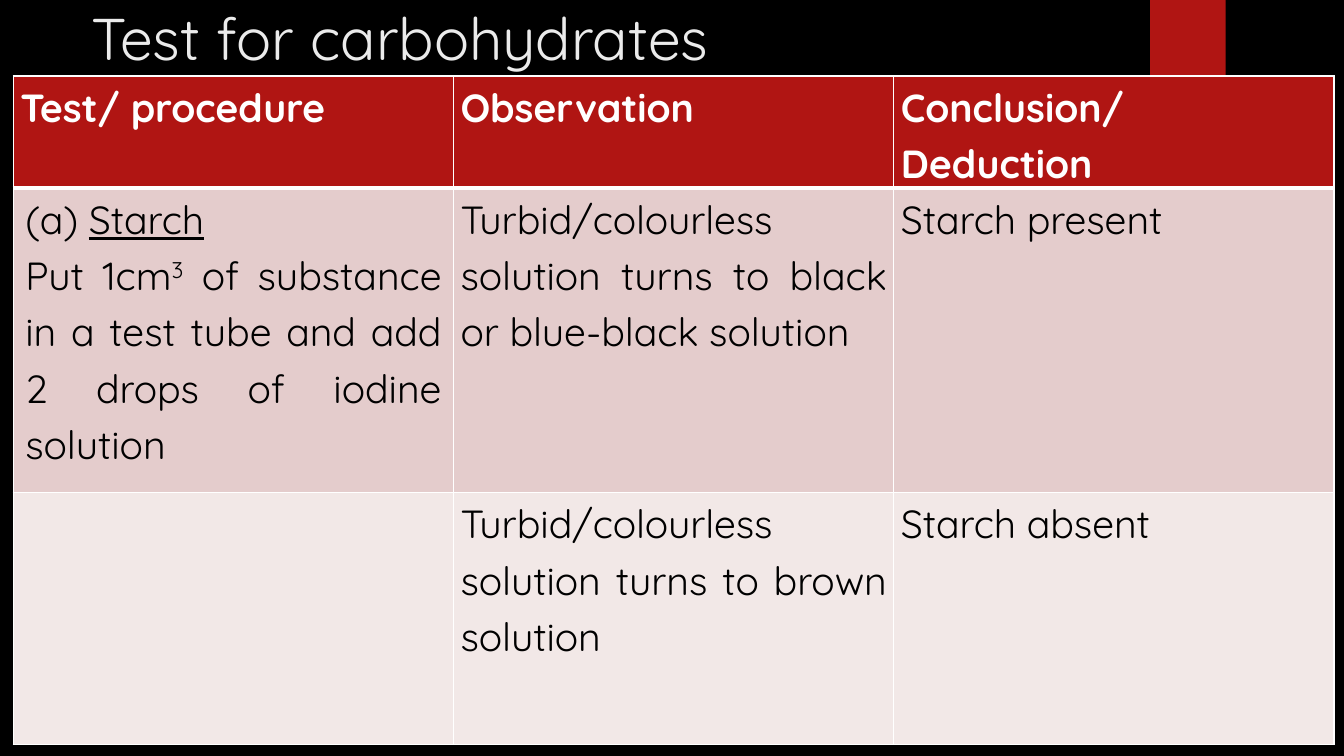
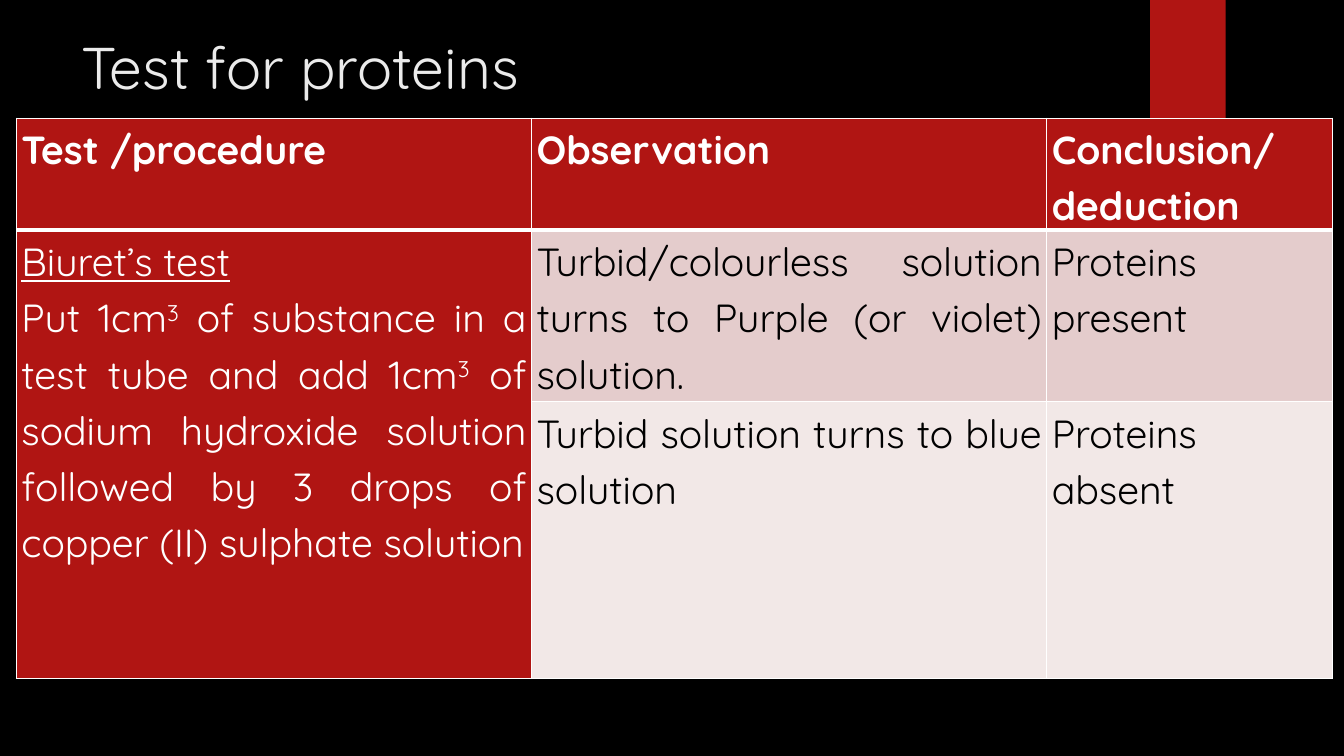
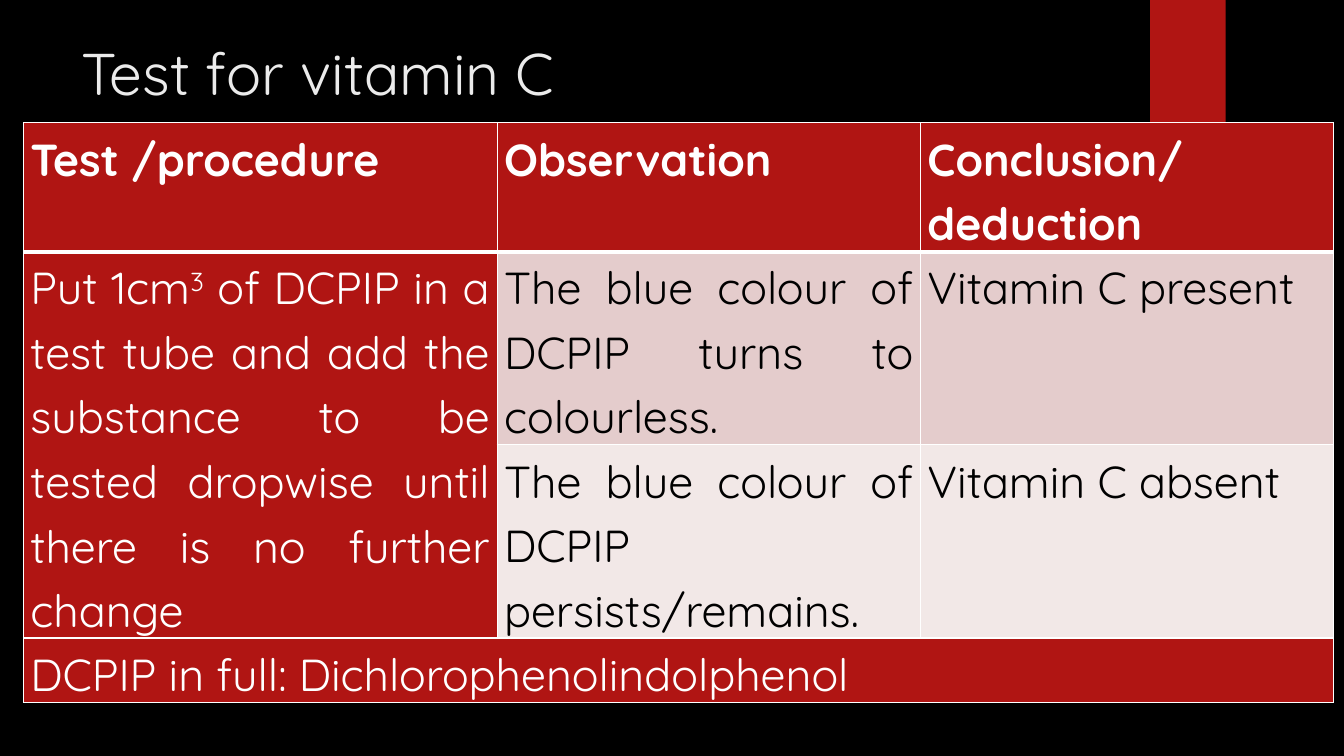
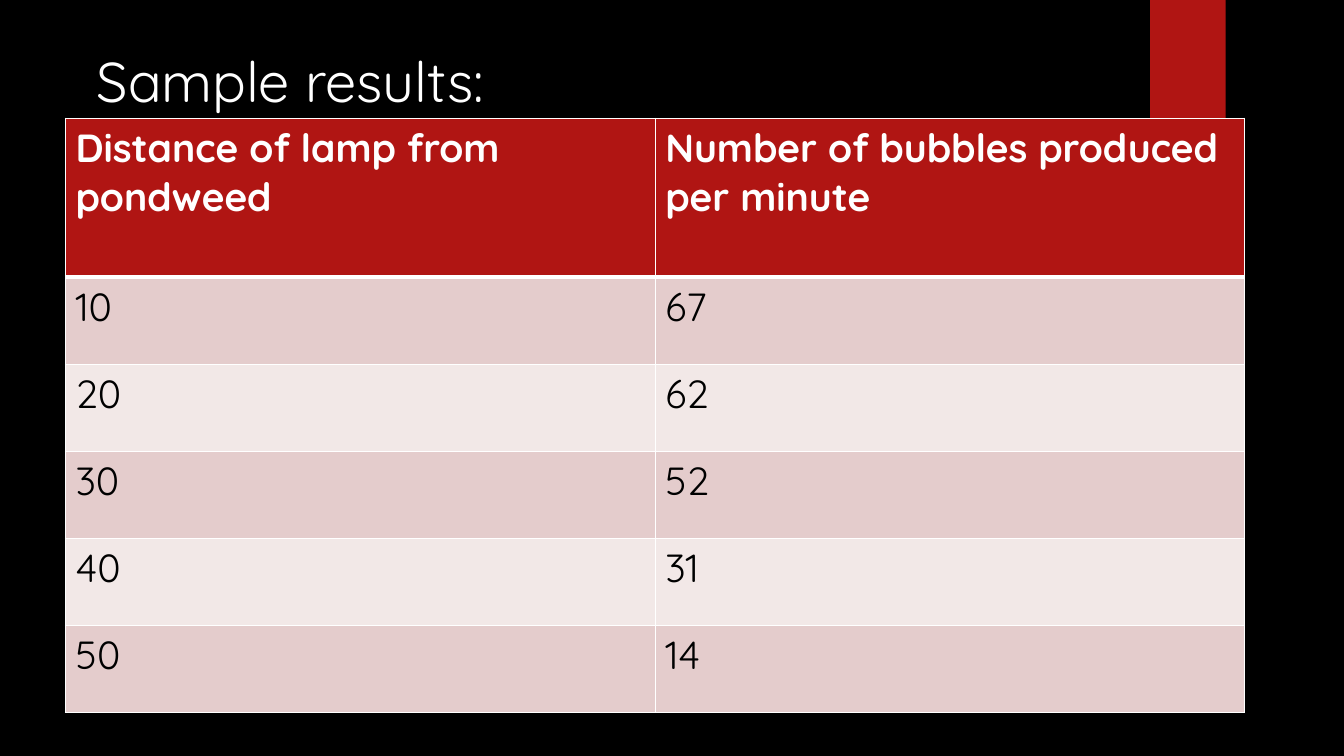
import pptx
import pptx.util
import pptx.dml.color
import pptx.enum.shapes
import pptx.enum.text
import pptx.oxml
import pptx.oxml.ns

Pt = pptx.util.Pt

# Shared look
FONT = "Quicksand"
BLACK, WHITE, OFF_WHITE = "000000", "FFFFFF", "EBEBEB"
RED, DARK_BAND, LIGHT_BAND = "B01513", "E4CCCC", "F2E8E7"
BAND = (821.5, 0, 54, 90)
BORDER, HEADER_BORDER = 1, 3

# Content: a cell is a list of paragraphs, a paragraph a list of (text, style) runs
CUBED = ("3", "superscript")
STARCH_TEST = [
    [("(a) ", ""), ("Starch", "underline")],
    [("Put 1cm", ""), CUBED,
     (" of substance in a test tube and add 2 drops of iodine solution", "")],
]
BIURET_TEST = [
    [("Biuret’s test", "underline")],
    [("Put 1cm", ""), CUBED, (" of substance in a test tube and add 1cm", ""), CUBED,
     (" of sodium hydroxide solution followed by 3 drops of copper (II) sulphate solution", "")],
]
DCPIP_TEST = [
    [("Put 1cm", ""), CUBED,
     (" of DCPIP in a test tube and add the substance to be tested dropwise"
      " until there is no further change", "")],
]

# merges: first row, first column, last row, last column (filled red)
SLIDES = [
    {
        "title": "Test for carbohydrates", "title_box": (58.3, -2, 733, 56),
        "position": (9.5, 54.3), "columns": [314.5] * 3, "rows": [80, 217.5, 180],
        "size": 28, "inset": 5, "wide_insets": {(1, 0): 8.6},
        "cells": [
            ["Test/ procedure", "Observation", [[("Conclusion/", "")], [("Deduction", "")]]],
            [STARCH_TEST, "Turbid/colourless solution turns to black or blue-black solution",
             "Starch present"],
            ["", "Turbid/colourless solution turns to brown solution", "Starch absent"],
        ],
    },
    {
        "title": "Test for proteins", "title_box": (51, 18.7, 721, 60.5),
        "position": (11.7, 84.5), "columns": [368, 368, 204.3], "rows": [80, 122.4, 198],
        "size": 28, "inset": 3.6, "merges": [(1, 0, 2, 0)],
        "cells": [
            ["Test /procedure", "Observation", "Conclusion/deduction"],
            [BIURET_TEST, "Turbid/colourless solution turns to Purple (or violet) solution.",
             "Proteins present"],
            ["", "Turbid solution turns to blue solution", "Proteins absent"],
        ],
    },
    {
        "title": "Test for vitamin C", "title_box": (51, 22.3, 741, 110),
        "position": (16.7, 87.8), "columns": [338.4, 302.4, 295.2], "rows": [92, 138, 138, 46],
        "size": 32, "inset": 5, "merges": [(1, 0, 2, 0), (3, 0, 3, 2)],
        "cells": [
            ["Test /procedure", "Observation", "Conclusion/deduction"],
            [DCPIP_TEST, "The blue colour of DCPIP turns to colourless.", "Vitamin C present"],
            ["", "The blue colour of DCPIP persists/remains.", "Vitamin C absent"],
            ["DCPIP in full: Dichlorophenolindolphenol", "", ""],
        ],
    },
    {
        "title": "Sample results:", "title_box": (62, 29.5, 744, 55.5),
        "title_size": 40, "title_color": WHITE,
        "position": (46.8, 84.5), "columns": [421.2] * 2, "rows": [113.5] + [62.2] * 5,
        "size": 28, "inset": 7.2, "top_inset": 3.6, "justified": False,
        "cells": [
            ["Distance of lamp from pondweed", "Number of bubbles produced per minute"],
            ["10", "67"], ["20", "62"], ["30", "52"], ["40", "31"], ["50", "14"],
        ],
    },
]


def rgb(value):
    return pptx.dml.color.RGBColor.from_string(value)


def style_font(font, size, color, bold=False):
    font.name = FONT
    font.size = Pt(size)
    font.bold = bold
    font.color.rgb = rgb(color)


def add_band(slide):
    shape = slide.shapes.add_shape(
        pptx.enum.shapes.MSO_SHAPE.RECTANGLE, *[Pt(value) for value in BAND])
    shape.shadow.inherit = False
    shape.fill.solid()
    shape.fill.fore_color.rgb = rgb(RED)
    shape.line.fill.background()


def add_title(slide, content):
    box = slide.shapes.add_textbox(*[Pt(value) for value in content["title_box"]])
    box.text_frame.word_wrap = True
    box.text_frame.text = content["title"]
    style_font(box.text_frame.paragraphs[0].runs[0].font,
               content.get("title_size", 42), content.get("title_color", OFF_WHITE))


def set_borders(cell, row):
    """Draw white borders, thicker between the header and the body."""
    widths = {
        "lnL": BORDER, "lnR": BORDER,
        "lnT": HEADER_BORDER if row == 1 else BORDER,
        "lnB": HEADER_BORDER if row == 0 else BORDER,
    }
    properties = cell._tc.get_or_add_tcPr()
    for index, (side, width) in enumerate(widths.items()):
        properties.insert(index, pptx.oxml.parse_xml(
            f'<a:{side} {pptx.oxml.ns.nsdecls("a")} w="{Pt(width)}"><a:solidFill>'
            f'<a:srgbClr val="{WHITE}"/></a:solidFill></a:{side}>'))


def fill_text(cell, paragraphs, size, color, bold, justified):
    if isinstance(paragraphs, str):
        paragraphs = [[(paragraphs, "")]]
    frame = cell.text_frame
    for index, runs in enumerate(paragraphs):
        paragraph = frame.add_paragraph() if index else frame.paragraphs[0]
        if justified:
            paragraph.alignment = pptx.enum.text.PP_ALIGN.JUSTIFY
            paragraph.line_spacing = 1.15
        for text, style in runs:
            run = paragraph.add_run()
            run.text = text
            style_font(run.font, size, color, bold)
            if style == "underline":
                run.font.underline = True
            elif style == "superscript":
                run._r.get_or_add_rPr().set("baseline", "30000")


def add_results_table(slide, content):
    columns, rows, cells = content["columns"], content["rows"], content["cells"]
    left, top = content["position"]
    table = slide.shapes.add_table(len(rows), len(columns), Pt(left), Pt(top),
                                   Pt(sum(columns)), Pt(sum(rows))).table
    for column, width in zip(table.columns, columns):
        column.width = Pt(width)
    for row, height in zip(table.rows, rows):
        row.height = Pt(height)

    # Merged areas are red, like the header
    merges = content.get("merges", [])
    for first_row, first_column, last_row, last_column in merges:
        table.cell(first_row, first_column).merge(table.cell(last_row, last_column))

    for row, texts in enumerate(cells):
        for column, text in enumerate(texts):
            cell = table.cell(row, column)
            merged = cell.is_merge_origin or cell.is_spanned
            red = row == 0 or merged
            inset = content.get("wide_insets", {}).get((row, column), content["inset"])
            cell.margin_left = cell.margin_right = Pt(inset)
            cell.margin_top = cell.margin_bottom = Pt(content.get("top_inset", 0))
            cell.fill.solid()
            cell.fill.fore_color.rgb = rgb(RED if red else DARK_BAND if row % 2 else LIGHT_BAND)
            set_borders(cell, row)
            if text:
                fill_text(cell, text, content["size"], WHITE if red else BLACK,
                          row == 0, content.get("justified", True))


def main():
    presentation = pptx.Presentation()
    presentation.slide_width, presentation.slide_height = Pt(960), Pt(540)
    background = presentation.slide_master.background.fill
    background.solid()
    background.fore_color.rgb = rgb(BLACK)
    for content in SLIDES:
        slide = presentation.slides.add_slide(presentation.slide_layouts[6])
        add_band(slide)
        add_title(slide, content)
        add_results_table(slide, content)
    presentation.save("out.pptx")


if __name__ == "__main__":
    main()
